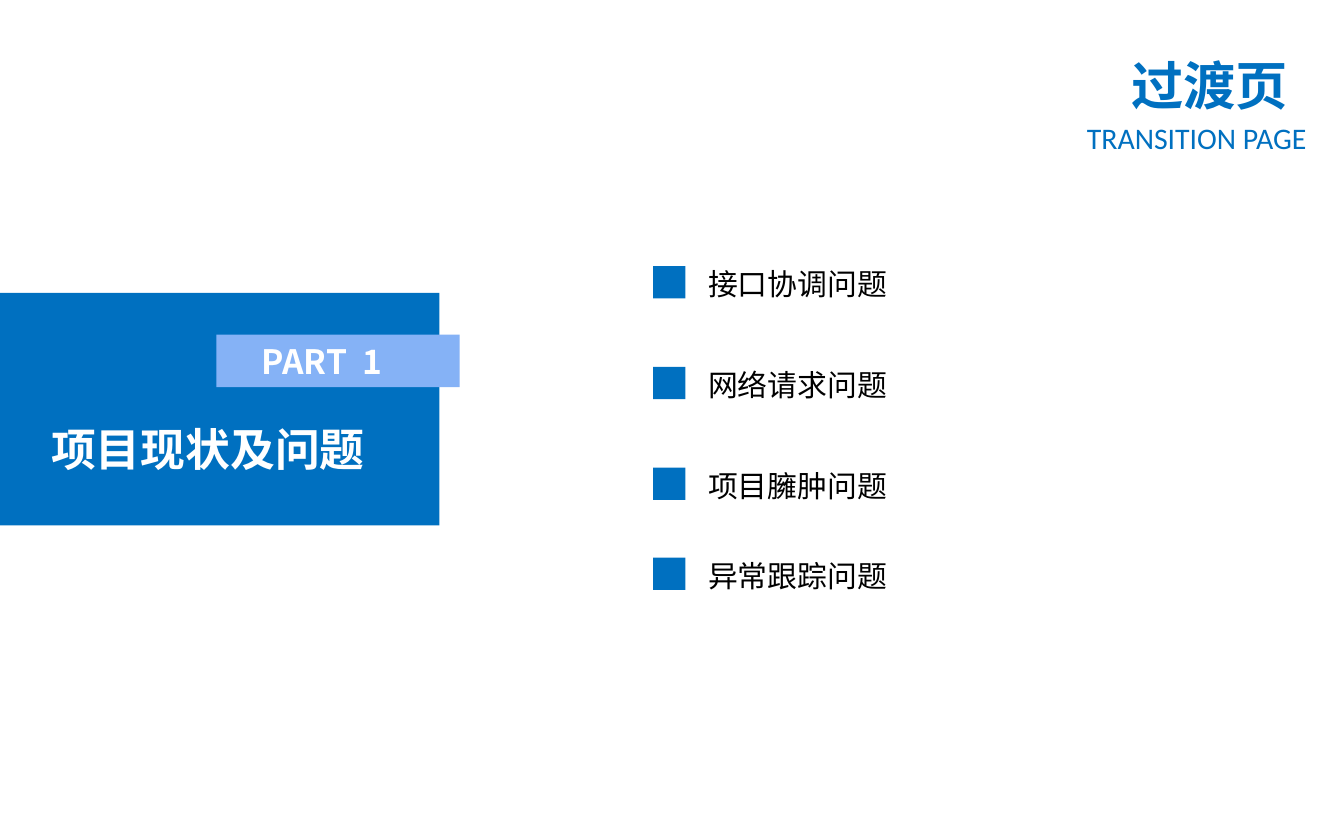
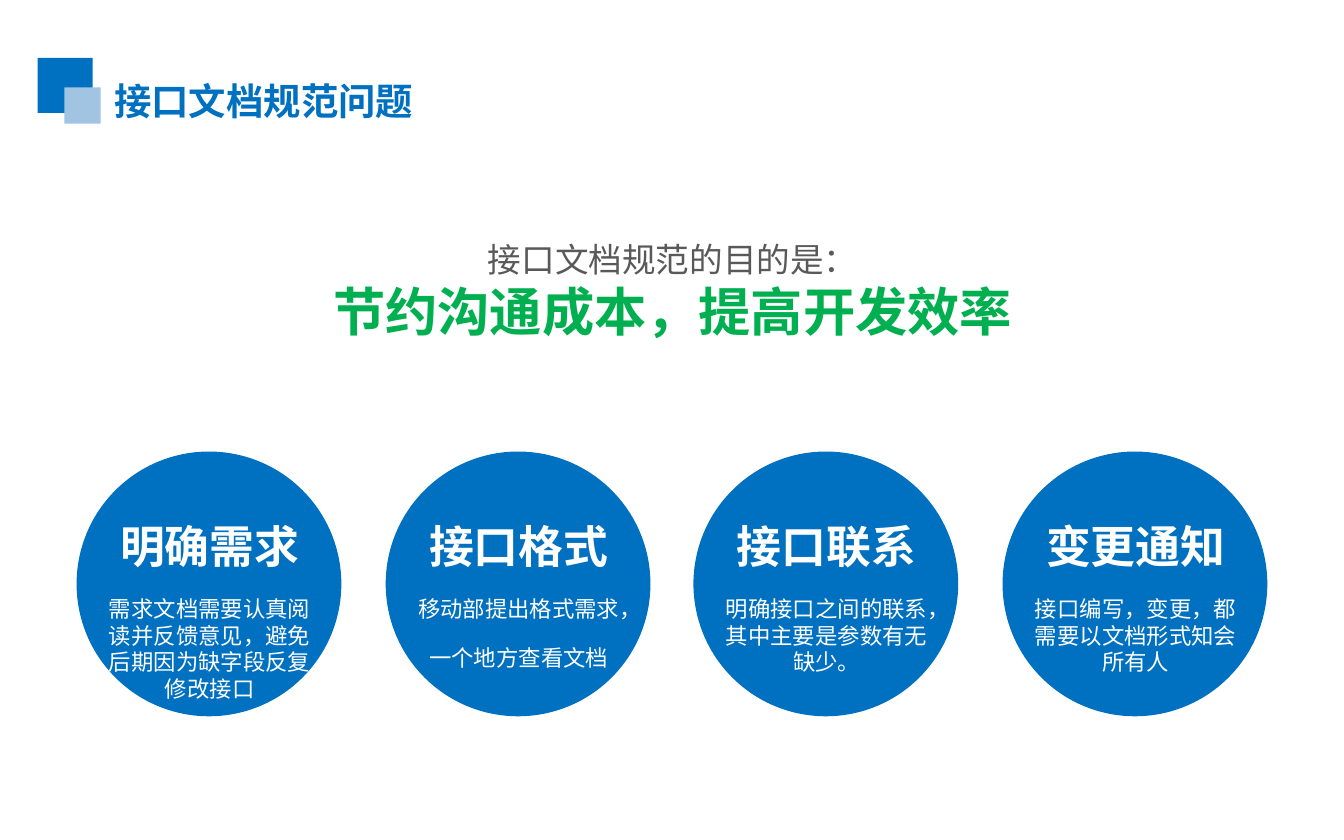
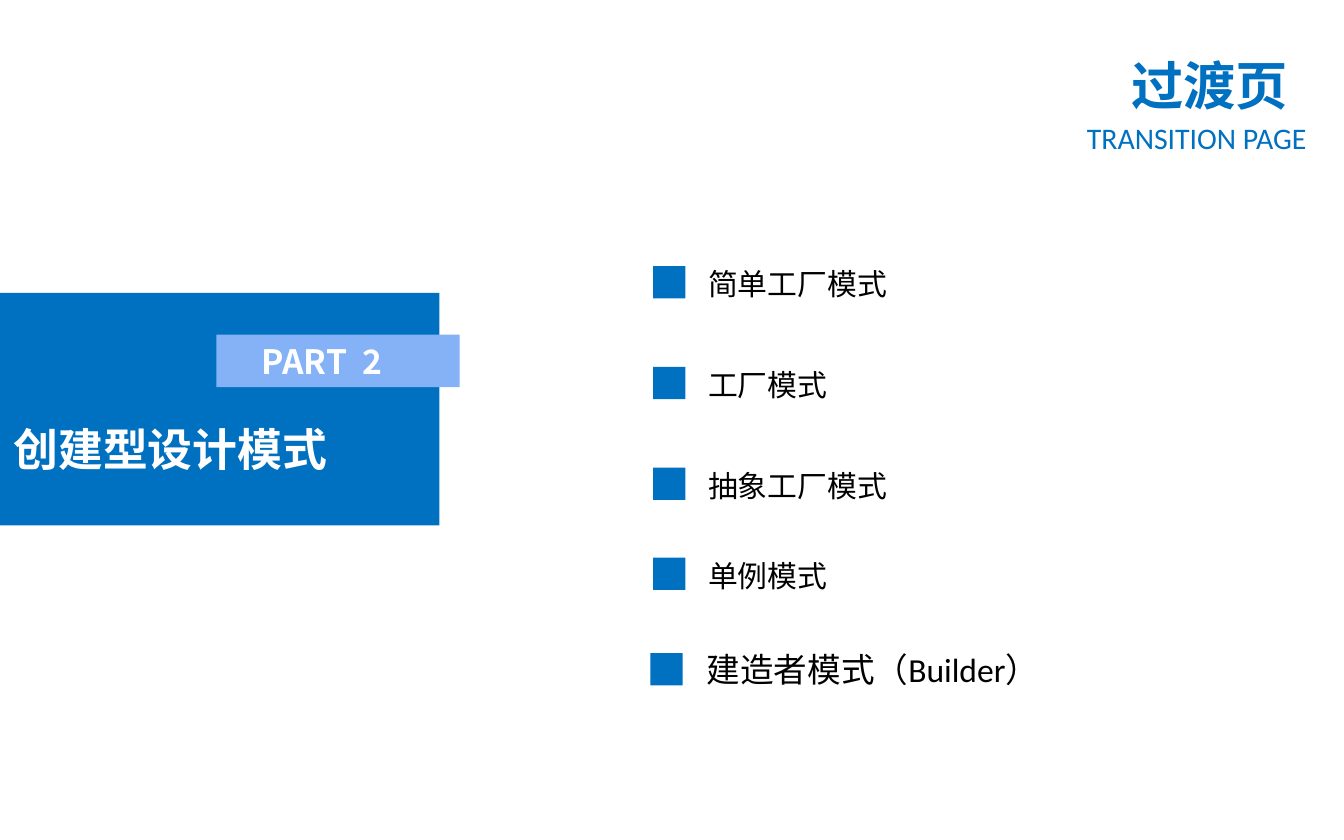
import pptx
import pptx.util
import pptx.dml.color
import pptx.enum.shapes
import pptx.enum.text
import pptx.oxml.ns
import lxml.etree

Inches = pptx.util.Inches
ALIGN = pptx.enum.text.PP_ALIGN
SHAPE = pptx.enum.shapes.MSO_SHAPE
CJK = "Noto Sans CJK SC"
COLORS = {
    "blue": "0070C0",
    "sky": "85B2F6",
    "pale": "A1C4E3",
    "green": "00B050",
    "gray": "595959",
    "black": "000000",
    "white": "FFFFFF",
}
TOPIC_LEFT = 4.86
TOPIC_TOPS = (1.98, 2.73, 3.48, 4.15)
MARKER = 0.24
CIRCLE = 1.97
CIRCLE_LEFTS = (0.57, 2.87, 5.16, 7.46)


def rgb(color):
    return pptx.dml.color.RGBColor.from_string(COLORS[color])


def style(paragraph, size, color, bold=False, font=CJK, align=ALIGN.LEFT,
          spacing=1.0, before=0, right_indent=0):
    paragraph.alignment = align
    paragraph.line_spacing = spacing
    paragraph.space_before = pptx.util.Pt(before)
    paragraph.font.size = pptx.util.Pt(size)
    paragraph.font.bold = bold
    paragraph.font.name = font
    paragraph.font.color.rgb = rgb(color)
    properties = paragraph._p.get_or_add_pPr()
    if right_indent:
        properties.set("marR", str(Inches(right_indent)))
    east_asian = lxml.etree.SubElement(
        properties.get_or_add_defRPr(), pptx.oxml.ns.qn("a:ea"))
    east_asian.set("typeface", CJK)


def fill_text(holder, lines, insets=(0.1, 0.05), grow=True):
    frame = holder.text_frame
    frame.word_wrap = True
    frame.vertical_anchor = pptx.enum.text.MSO_ANCHOR.TOP
    sizing = pptx.enum.text.MSO_AUTO_SIZE
    frame.auto_size = sizing.SHAPE_TO_FIT_TEXT if grow else sizing.NONE
    frame.margin_left = frame.margin_right = Inches(insets[0])
    frame.margin_top = frame.margin_bottom = Inches(insets[1])
    for index, (words, look) in enumerate(lines):
        paragraph = frame.add_paragraph() if index else frame.paragraphs[0]
        paragraph.text = words
        style(paragraph, **look)


def add_text(slide, box, lines, **options):
    holder = slide.shapes.add_textbox(*map(Inches, box))
    fill_text(holder, lines, **options)


def place_title(slide, box, words, **look):
    title = slide.shapes.title
    title.left, title.top, title.width, title.height = map(Inches, box)
    fill_text(title, [(words, dict(bold=True, **look))])
    slide.shapes._spTree.append(title._element)


def add_block(slide, box, color, kind=SHAPE.RECTANGLE):
    block = slide.shapes.add_shape(kind, *map(Inches, box))
    block.shadow.inherit = False
    block.fill.solid()
    block.fill.fore_color.rgb = rgb(color)
    block.line.fill.background()


def add_marker(slide, left, top):
    add_block(slide, (left, top, MARKER, MARKER), "blue")


def new_slide(deck):
    return deck.slides.add_slide(deck.slide_layouts[5])


def transition_slide(deck, part, section, title_box, topics):
    slide = new_slide(deck)
    heading = dict(color="blue", align=ALIGN.RIGHT, spacing=1.12)
    add_text(slide, (7.68, 0.29, 2.19, 0.93), [
        ("过渡页", dict(heading, size=28, bold=True, right_indent=0.19)),
        ("TRANSITION PAGE", dict(heading, size=16, font="Calibri",
                                 right_indent=0.05)),
    ])
    add_block(slide, (0, 2.18, 3.27, 1.73), "blue")
    place_title(slide, title_box, section, size=24, color="white", spacing=1.5)
    add_block(slide, (1.61, 2.49, 1.81, 0.39), "sky")
    add_text(slide, (1.85, 2.49, 1.34, 0.4),
             [(part, dict(size=18, color="white", bold=True))])
    for topic, top in zip(topics, TOPIC_TOPS):
        add_marker(slide, TOPIC_LEFT, top)
        add_text(slide, (TOPIC_LEFT + 0.33, top - 0.04, 2.9, 0.35),
                 [(topic, dict(size=16, color="black"))], insets=(0.08, 0.04))
    return slide


def add_goal(slide, left, name, details):
    add_block(slide, (left, 3.36, CIRCLE, CIRCLE), "blue", SHAPE.OVAL)
    look = dict(color="white", align=ALIGN.CENTER)
    lines = [(name, dict(look, size=24, bold=True))]
    lines += [(detail, dict(look, size=12, before=12)) for detail in details]
    add_text(slide, (left + 0.13, 3.81, 1.72, 1.28), lines)


def document_slide(deck):
    slide = new_slide(deck)
    place_title(slide, (0.75, 0.53, 2.52, 0.44), "接口文档规范问题",
                size=20, color="blue")
    add_block(slide, (0.28, 0.43, 0.41, 0.41), "blue")
    add_block(slide, (0.48, 0.65, 0.27, 0.27), "pale")
    add_text(slide, (1.75, 1.73, 6.51, 1.34), [
        ("接口文档规范的目的是：",
         dict(size=18, color="gray", align=ALIGN.CENTER)),
        ("节约沟通成本，提高开发效率",
         dict(size=28, color="green", bold=True, align=ALIGN.CENTER)),
    ], grow=False)
    goals = (
        ("明确需求", ["需求文档需要认真阅读并反馈意见，避免后期因为缺字段反复修改接口"]),
        ("接口格式", ["移动部提出格式需求，", "一个地方查看文档"]),
        ("接口联系", ["明确接口之间的联系，其中主要是参数有无缺少。"]),
        ("变更通知", ["接口编写，变更，都需要以文档形式知会所有人"]),
    )
    for left, (name, details) in zip(CIRCLE_LEFTS, goals):
        add_goal(slide, left, name, details)


def main():
    deck = pptx.Presentation()
    deck.slide_width, deck.slide_height = Inches(10), Inches(6.25)
    transition_slide(
        deck, "PART  1", "项目现状及问题", (0.28, 2.89, 2.99, 0.71),
        ("接口协调问题", "网络请求问题", "项目臃肿问题", "异常跟踪问题"))
    document_slide(deck)
    patterns = transition_slide(
        deck, "PART  2", "创建型设计模式", (0, 2.89, 3.27, 0.64),
        ("简单工厂模式", "工厂模式", "抽象工厂模式", "单例模式"))
    add_marker(patterns, 4.84, 4.86)
    add_text(patterns, (5.16, 4.78, 2.7, 0.4), [
        ("建造者模式（Builder）", dict(size=18, color="black", font="Calibri"))])
    deck.save("out.pptx")


main()
